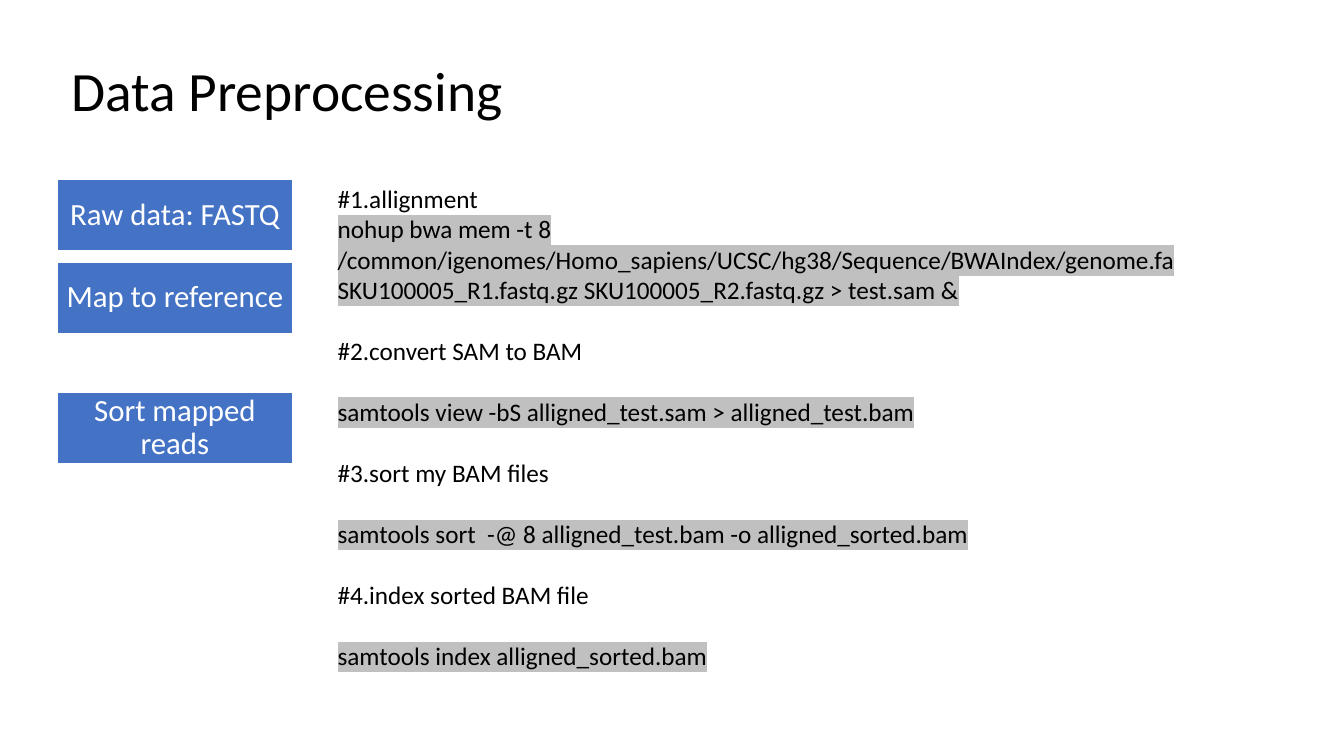
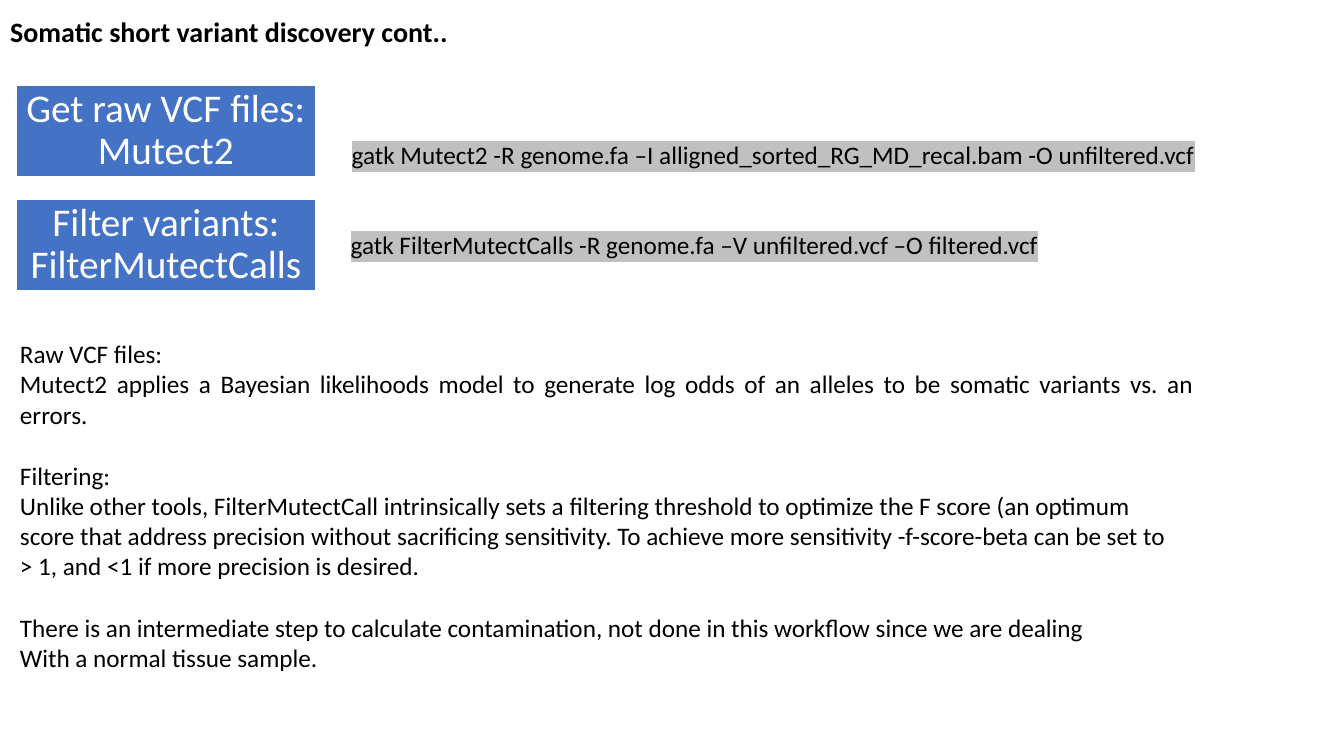
from dataclasses import dataclass

from pptx import Presentation
from pptx import util as u
from pptx.dml import color
from pptx.enum import shapes, text
from pptx.oxml import ns, xmlchemy


@dataclass(frozen=True)
class Theme:
    """Colours, font and type sizes of the deck."""
    font: str = "Calibri"
    ink: str = "000000"
    paper: str = "FFFFFF"
    step: str = "4472C4"
    mark: str = "C0C0C0"
    head: float = 39.6
    sub: float = 20
    body: float = 18
    gap: float = 22
    tight: float = 0.9


T = Theme()
A = text.PP_ALIGN
MID = text.MSO_ANCHOR.MIDDLE


def rgb(code):
    """Turn a hex code into a colour."""
    return color.RGBColor.from_string(code)


def place(box):
    """Turn a box in inches into lengths."""
    return [u.Inches(n) for n in box]


def write(para, words, size=T.body, ink=T.ink, bold=False, mark=None,
          align=A.LEFT, lead=None, before=0):
    """Write one formatted run into a paragraph."""
    para.alignment = align
    para.line_spacing = lead
    para.space_before = u.Pt(before)
    run = para.add_run()
    run.text = words
    font = run.font
    font.size, font.bold = u.Pt(size), bold
    font.color.rgb = rgb(ink)
    if mark:
        glow = xmlchemy.OxmlElement("a:highlight")
        tint = xmlchemy.OxmlElement("a:srgbClr")
        tint.set("val", mark)
        glow.append(tint)
        run._r.find(ns.qn("a:rPr")).append(glow)
    font.name = T.font


def start(deck, words, box, **form):
    """Add a slide with its title in the given box."""
    slide = deck.slides.add_slide(deck.slide_layouts[5])
    title = slide.shapes.title
    title.left, title.top, title.width, title.height = place(box)
    frame = title.text_frame
    frame.auto_size = text.MSO_AUTO_SIZE.NONE
    frame.vertical_anchor = MID
    write(frame.paragraphs[0], words, lead=T.tight, **form)
    return slide


def prose(slide, box, lines, wrap=True, **form):
    """Fill a text box with pairs of words and their own format."""
    frame = slide.shapes.add_textbox(*place(box)).text_frame
    frame.word_wrap = wrap
    for i, (words, own) in enumerate(lines):
        para = frame.add_paragraph() if i else frame.paragraphs[0]
        write(para, words, **{**form, **own})


def steps(slide, box, rows, size):
    """Stack step bars of the box's size at the offsets given by rows."""
    left, top, wide, high = box
    for drop, words in rows:
        bar = slide.shapes.add_shape(
            shapes.MSO_SHAPE.RECTANGLE, *place((left, top + drop, wide, high)))
        bar.shadow.inherit = False
        bar.fill.solid()
        bar.fill.fore_color.rgb = rgb(T.step)
        bar.line.color.rgb = rgb(T.paper)
        bar.line.width = u.Pt(1)
        frame = bar.text_frame
        frame.word_wrap = True
        frame.vertical_anchor = MID
        frame.margin_left = frame.margin_right = u.Inches(0.02)
        frame.margin_top = frame.margin_bottom = u.Inches(0.02)
        write(frame.paragraphs[0], words, size=size, ink=T.paper,
              align=A.CENTER, lead=T.tight)


def prep(deck):
    """Build the data preprocessing slide."""
    slide = start(deck, "Data Preprocessing", (0.61, 0.77, 11.5, 0.32),
                  size=T.head)
    gap, code = {"before": T.gap}, {"mark": T.mark}
    prose(slide, (3.25, 1.77, 9.77, 5.25), [
        ("#1.allignment", {}),
        ("nohup bwa mem -t 8 /common/igenomes/Homo_sapiens/UCSC/hg38/"
         "Sequence/BWAIndex/genome.fa SKU100005_R1.fastq.gz "
         "SKU100005_R2.fastq.gz > test.sam &", code),
        ("#2.convert SAM to BAM", gap),
        ("samtools view -bS alligned_test.sam > alligned_test.bam",
         gap | code),
        ("#3.sort my BAM files", gap),
        ("samtools sort  -@ 8 alligned_test.bam -o alligned_sorted.bam",
         gap | code),
        ("#4.index sorted BAM file", gap),
        ("samtools index alligned_sorted.bam", gap | code),
    ])
    steps(slide, (0.57, 1.78, 2.33, 0.71), [
        (0, "Raw data: FASTQ"),
        (0.82, "Map to reference"),
        (2.11, "Sort mapped reads"),
    ], 22)


def calls(deck):
    """Build the variant discovery slide."""
    slide = start(deck, "Somatic short variant discovery cont..",
                  (0, -0.39, 11.5, 1.45), size=T.sub, bold=True)
    prose(slide, (3.39, 1.37, 9.5, 0.4), [
        ("gatk Mutect2 -R genome.fa –I alligned_sorted_RG_MD_recal.bam "
         "-O unfiltered.vcf", {}),
    ], mark=T.mark, lead=T.tight)
    prose(slide, (3.38, 2.23, 7.05, 0.4), [
        ("gatk FilterMutectCalls -R genome.fa –V unfiltered.vcf "
         "–O filtered.vcf", {}),
    ], wrap=False, mark=T.mark)
    gap = {"before": T.gap}
    prose(slide, (0.1, 3.31, 11.84, 3.74), [
        ("Raw VCF files:", {}),
        ("Mutect2 applies a Bayesian likelihoods model to generate log odds "
         "of an alleles to be somatic variants vs. an errors.", {}),
        ("Filtering:", gap),
        ("Unlike other tools, FilterMutectCall intrinsically sets a filtering "
         "threshold to optimize the F score (an optimum", {}),
        ("score that address precision without sacrificing sensitivity. To "
         "achieve more sensitivity -f-score-beta can be set to", {}),
        ("> 1, and <1 if more precision is desired.", {}),
        ("There is an intermediate step to calculate contamination, not done "
         "in this workflow since we are dealing", gap),
        ("With a normal tissue sample.", {}),
    ], align=A.JUSTIFY)
    steps(slide, (0.16, 0.85, 2.97, 0.9), [
        (0, "Get raw VCF files: Mutect2"),
        (1.13, "Filter variants: FilterMutectCalls"),
    ], 28)


def main():
    """Build and save the deck."""
    deck = Presentation()
    deck.slide_width, deck.slide_height = u.Inches(13.33), u.Inches(7.5)
    prep(deck)
    calls(deck)
    deck.save("out.pptx")


main()
